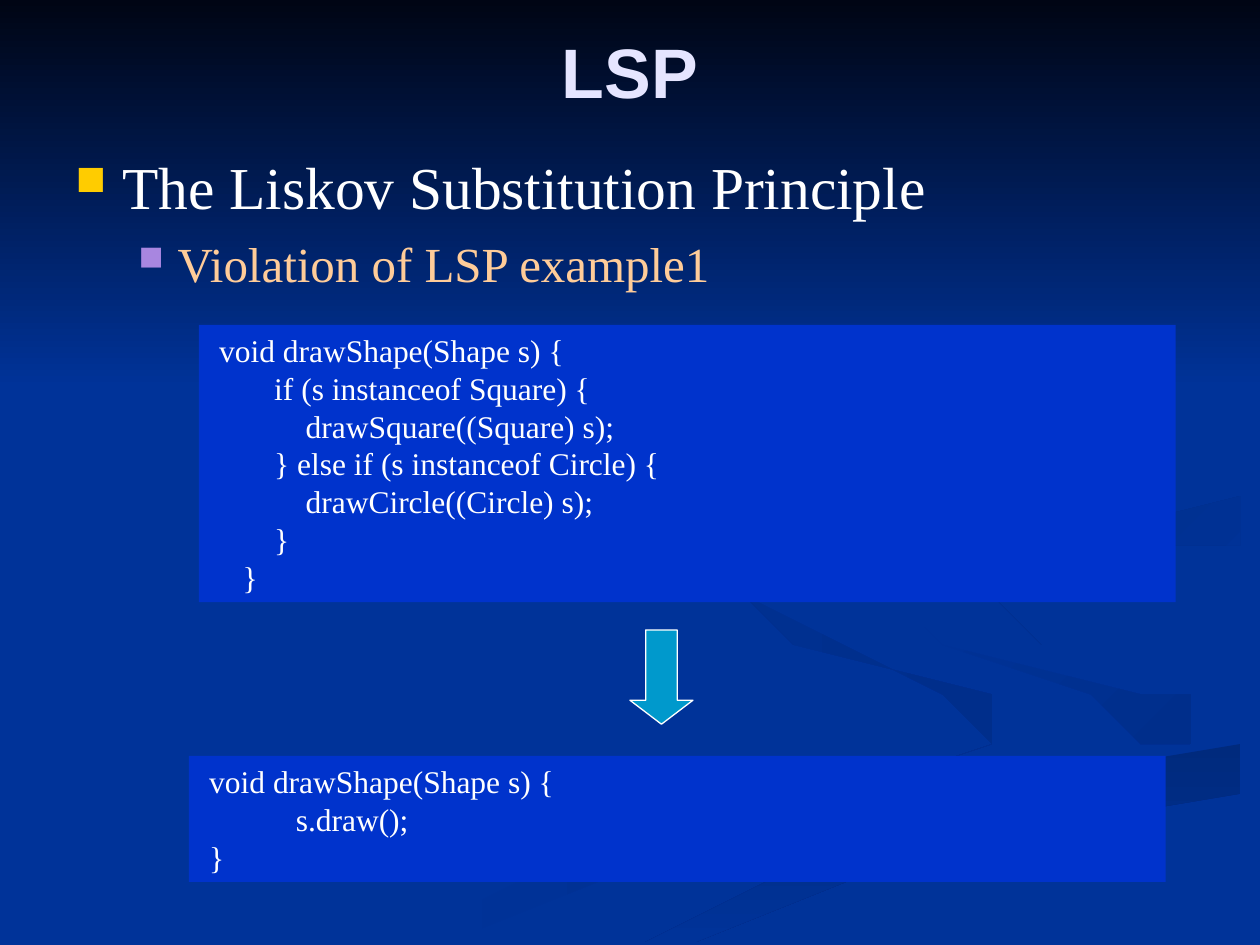
"""Build the LSP slide: a principle, code that violates it, and the corrected code."""
from lxml import etree
from pptx import Presentation
from pptx import util as u
from pptx.dml.color import RGBColor
from pptx.enum import shapes, text
from pptx.oxml.ns import qn

COLORS = {
    "background": "003399", "night": "000514", "title": "E5E5FF",
    "white": "FFFFFF", "peach": "FFCC99", "gold": "FFCC00",
    "violet": "A886E0", "code": "0033CC", "arrow": "0099CC",
    "swirl": "002E8B", "tail": "002A7D",
}


def rgb(name):
    return RGBColor.from_string(COLORS[name])


def paint(part, start, end, angle):
    part.shadow.inherit = False
    part.line.fill.background()
    if start == end:
        part.fill.solid()
        part.fill.fore_color.rgb = rgb(start)
        return
    part.fill.gradient()
    part.fill.gradient_angle = -angle % 360
    for stop, name in zip(part.fill.gradient_stops, (start, end)):
        stop.color.rgb = rgb(name)


deck = Presentation()
deck.slide_width, deck.slide_height = u.Cm(25.4), u.Cm(19.05)
slide = deck.slides.add_slide(deck.slide_layouts[6])
slide.background.fill.solid()
slide.background.fill.fore_color.rgb = rgb("background")

swirls = [
    ("background", "swirl", 0, [
        (19.8, 14), (15.9, 12.8), (14.6, 11.7), (14.8, 12.3), (19.4, 13.9), (19.8, 14.6),
        (17.4, 15.6), (11.6, 17.1), (7.6, 19), (9.2, 19), (14.3, 16.9), (20, 15.3), (20.3, 14.7)]),
    ("background", "swirl", 45, [
        (24, 14.5), (22.6, 13.6), (19.3, 12.6), (18.4, 11.8), (18.8, 12.6),
        (22.4, 13.9), (23.3, 14.8), (22.7, 15.4), (23.8, 14.9)]),
    ("tail", "background", 90, [
        (12.8, 19), (14.5, 19), (19.1, 17.1), (25.4, 15.5), (25.4, 14.8), (19.4, 16.4), (15.2, 17.9)]),
    ("swirl", "background", 45, [
        (19.8, 11.7), (21, 12.6), (20.5, 12), (21.4, 11.4), (25.4, 10.7), (25.4, 10.2), (20.9, 11)]),
    ("swirl", "background", 45, [
        (17.4, 10.9), (21.7, 9.9), (22.7, 8.7), (21.4, 7), (19.4, 5.9), (22.3, 7.8),
        (22.4, 9), (15, 11.2), (14.7, 11.9), (15.8, 12.7), (15.3, 11.6)]),
]
for start, end, angle, curve in swirls:
    builder = slide.shapes.build_freeform(*curve[0], scale=u.Cm(1))
    builder.add_line_segments(curve[1:], close=True)
    paint(builder.convert_to_shape(), start, end, angle)

sky = slide.shapes.add_shape(shapes.MSO_SHAPE.RECTANGLE, 0, 0, deck.slide_width, u.Cm(7.82))
paint(sky, "night", "background", 90)

title = slide.shapes.add_textbox(u.Cm(1.27), u.Cm(0.43), u.Cm(22.86), u.Cm(1.98)).text_frame
title.word_wrap = True
title.vertical_anchor = text.MSO_ANCHOR.MIDDLE
title.text = "LSP"
heading = title.paragraphs[0]
heading.alignment = text.PP_ALIGN.CENTER
heading.font.name, heading.font.size, heading.font.bold = "Arial", u.Pt(40), True
heading.font.color.rgb = rgb("title")

principle = slide.shapes.add_textbox(
    u.Cm(1.27), u.Cm(2.74), u.Cm(22.86), u.Cm(14.27)).text_frame
principle.word_wrap = True
principle.margin_top = u.Cm(0.28)
points = [
    ("The Liskov Substitution Principle", 34, "white", "gold", 0.95, -0.95, 0),
    ("Violation of LSP example1", 28, "peach", "violet", 2.06, -0.79, 7),
]
principle.text = "\n".join(point[0] for point in points)
for level, (point, details) in enumerate(zip(principle.paragraphs, points)):
    _, size, color, bullet, margin, indent, before = details
    point.level = level
    point.space_before = u.Pt(before)
    props = point._p.get_or_add_pPr()
    props.set("marL", str(u.Cm(margin)))
    props.set("indent", str(u.Cm(indent)))
    bullet_color = etree.SubElement(props, qn("a:buClr"))
    etree.SubElement(bullet_color, qn("a:srgbClr"), val=COLORS[bullet])
    etree.SubElement(props, qn("a:buSzPct"), val="70000")
    etree.SubElement(props, qn("a:buChar"), char="■")
    point.font.name, point.font.size = "Times New Roman", u.Pt(size)
    point.font.color.rgb = rgb(color)

violation = """ void drawShape(Shape s) {
        if (s instanceof Square) {
            drawSquare((Square) s);
        } else if (s instanceof Circle) {
            drawCircle((Circle) s);
        }
    }"""
correction = """ void drawShape(Shape s) {
            s.draw();
 }"""
for code, left, top, height in ((violation, 4.01, 6.55, 5.59), (correction, 3.81, 15.24, 2.54)):
    panel = slide.shapes.add_shape(
        shapes.MSO_SHAPE.RECTANGLE, u.Cm(left), u.Cm(top), u.Cm(19.69), u.Cm(height))
    paint(panel, "code", "code", 0)
    listing = panel.text_frame
    listing.word_wrap = True
    listing.vertical_anchor = text.MSO_ANCHOR.TOP
    listing.text = code
    for row in listing.paragraphs:
        row.alignment = text.PP_ALIGN.LEFT
        row.line_spacing = u.Pt(21.6)
        row.font.name, row.font.size = "Times New Roman", u.Pt(18)
        row.font.color.rgb = rgb("white")

arrow = slide.shapes.add_shape(
    shapes.MSO_SHAPE.DOWN_ARROW, u.Cm(12.7), u.Cm(12.7), u.Cm(1.27), u.Cm(1.9))
paint(arrow, "arrow", "arrow", 0)
arrow.adjustments[0], arrow.adjustments[1] = 0.5, 0.38
arrow.line.color.rgb = rgb("white")
arrow.line.width = u.Pt(0.75)

deck.save("out.pptx")
